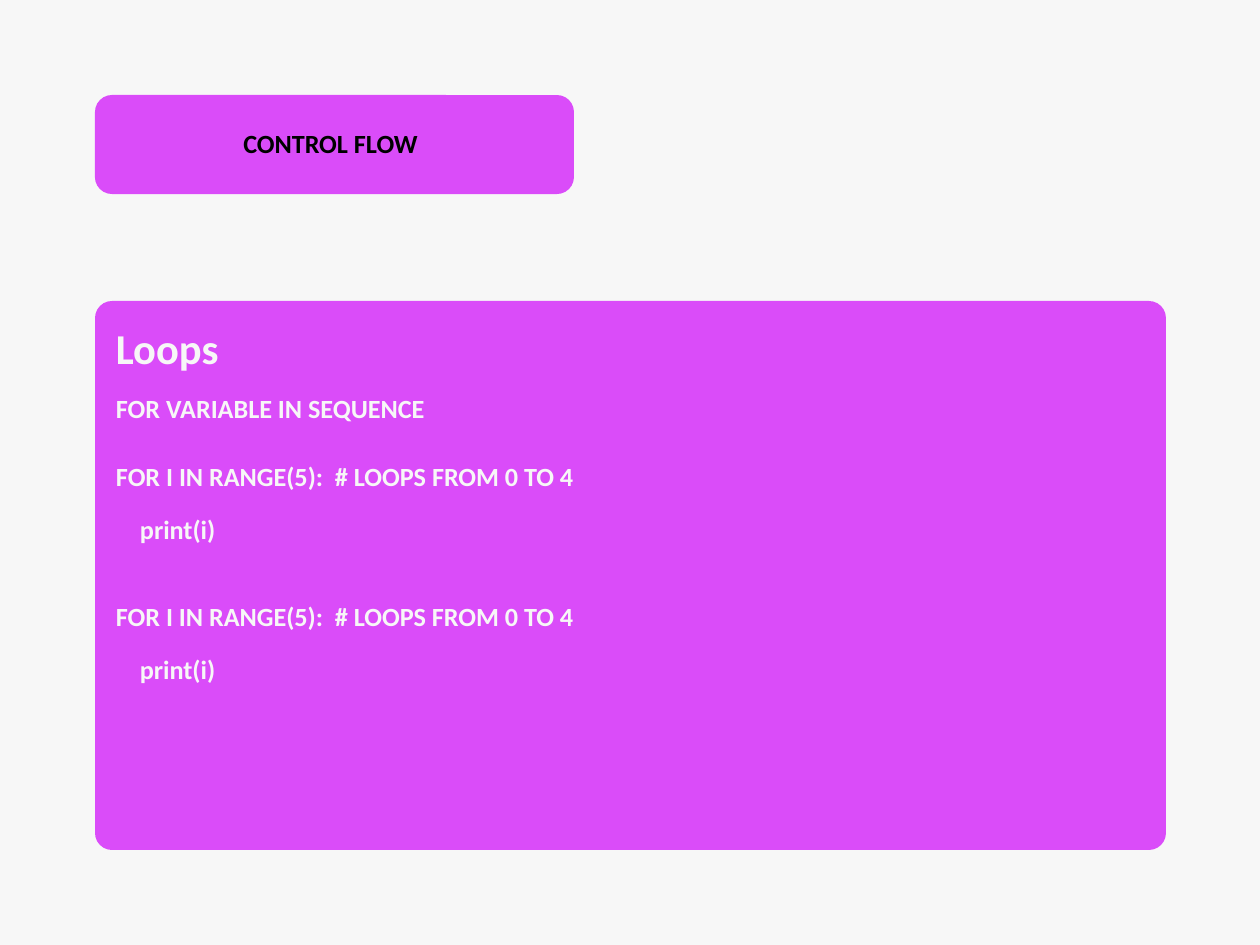
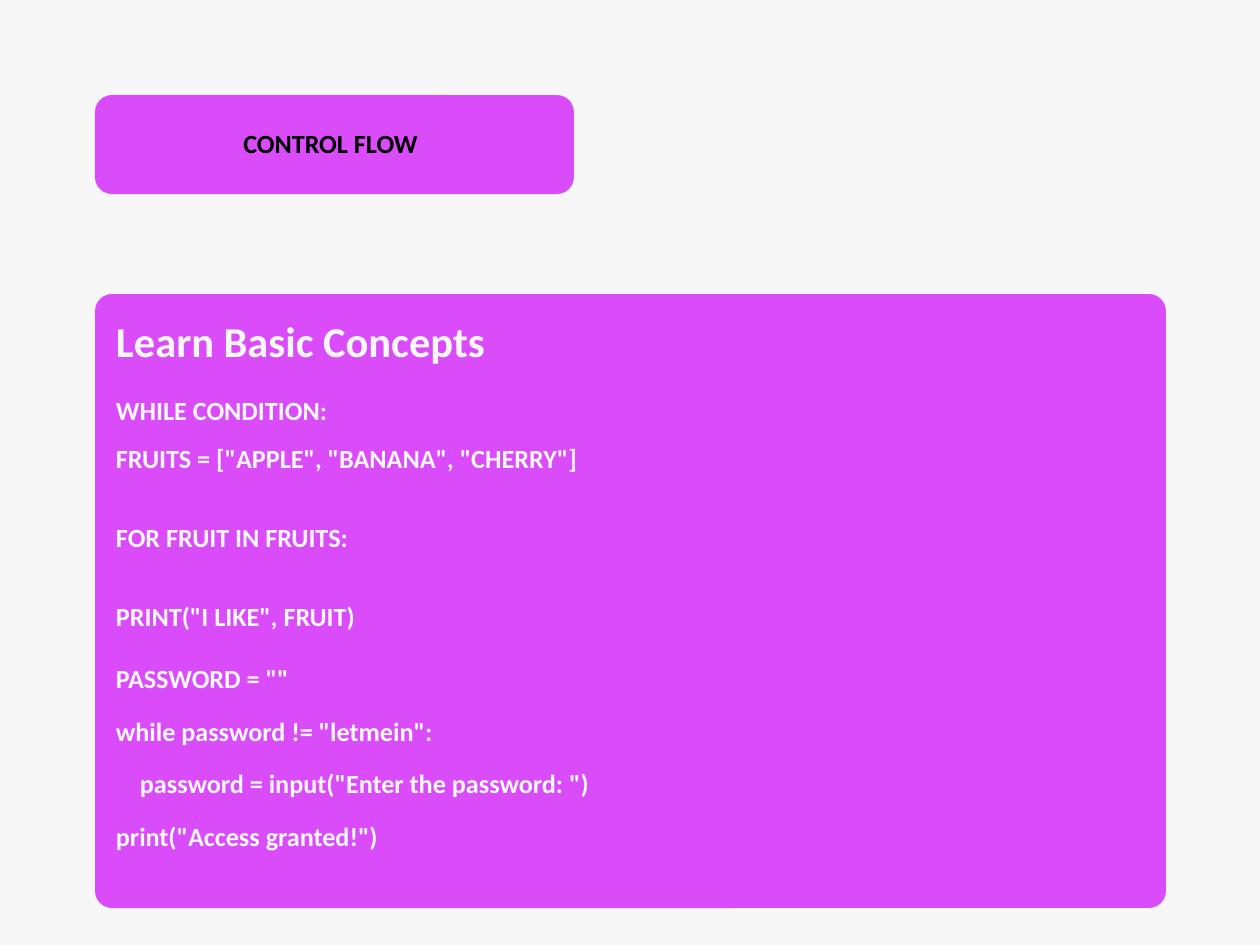
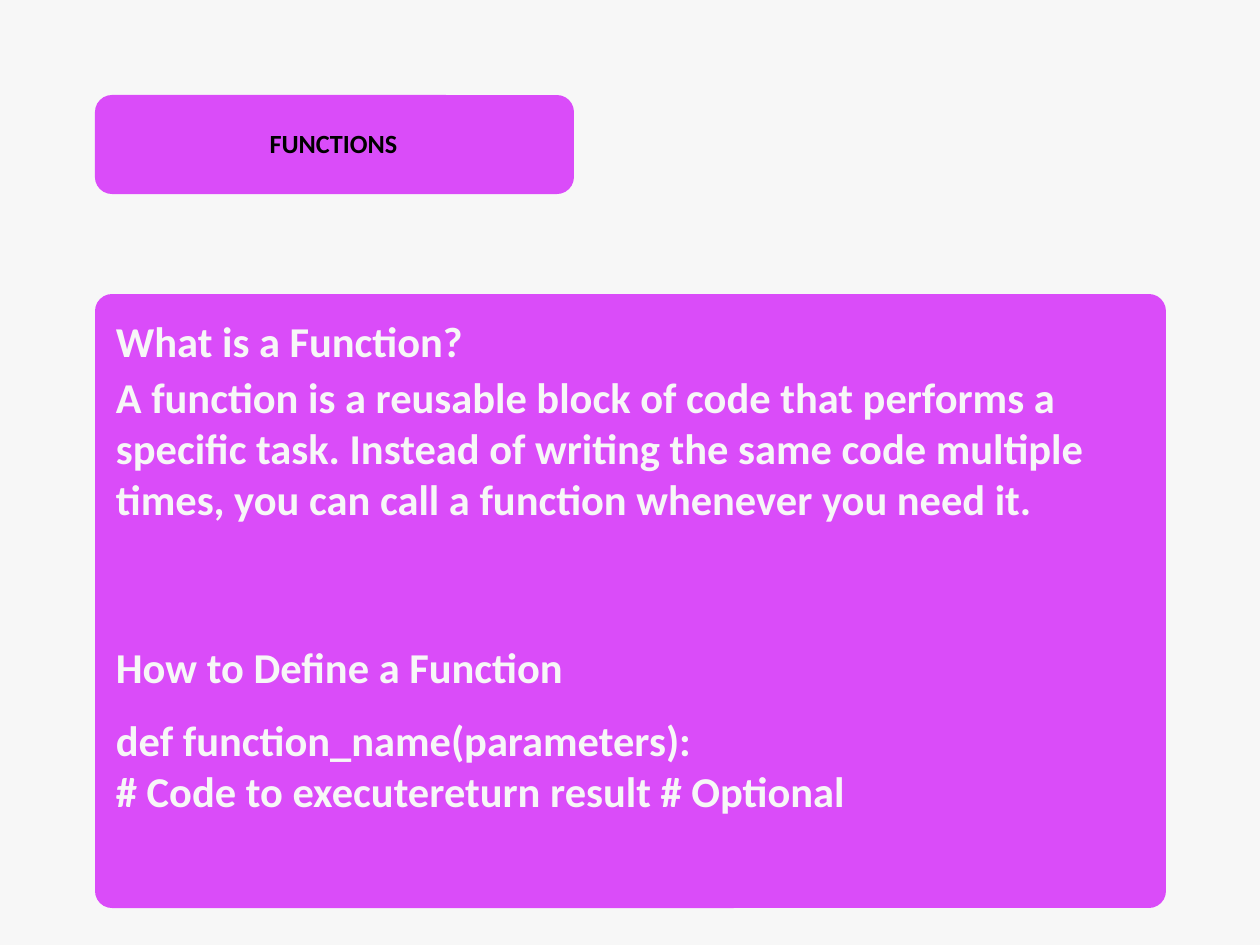
import dataclasses
import typing

import pptx
import pptx.dml.color
import pptx.enum.shapes
import pptx.enum.text
import pptx.oxml.ns
import pptx.util

EMU_PER_PX = 7741


class Box(typing.NamedTuple):
    left: int
    top: int
    width: int
    height: int

    def inside(self, left, top, width, height):
        return Box(self.left + left, self.top + top, width, height)


class Line(typing.NamedTuple):
    text: str
    gap: int = 0
    indent: int = 0


class Block(typing.NamedTuple):
    top: int
    height: int
    lines: list
    style: str = "code"


@dataclasses.dataclass(frozen=True)
class Theme:
    font: str = "Calibri"
    paper: str = "F7F7F7"
    accent: str = "DA4CF9"
    ink: str = "000000"
    code_size: float = 16
    code_leading: float = 16
    large_size: float = 25.9
    large_leading: float = 31.1
    radius: int = 17

    def measures(self, style):
        if style == "large":
            return self.large_size, self.large_leading
        return self.code_size, self.code_leading


THEME = Theme()
PAGE = Box(0, 0, 1260, 945)
TITLE_BAND = Box(95, 95, 479, 99)
SHORT_PANEL = Box(95, 301, 1071, 549)
TALL_PANEL = Box(95, 294, 1071, 614)
TEXT_INSET = 21
CODE_INDENT = 24

RANGE_LOOP = [
    Line("FOR I IN RANGE(5):  # LOOPS FROM 0 TO 4"),
    Line("print(i)", 16, CODE_INDENT),
]

SLIDES = [
    ("CONTROL FLOW ", SHORT_PANEL, "Loops", [
        Block(165, 104, RANGE_LOOP),
        Block(305, 104, RANGE_LOOP),
        Block(97, 26, [Line("FOR VARIABLE IN SEQUENCE")]),
    ]),
    ("CONTROL FLOW ", TALL_PANEL, "Learn Basic Concepts", [
        Block(154, 259, [
            Line('FRUITS = ["APPLE", "BANANA", "CHERRY"]'),
            Line("FOR FRUIT IN FRUITS:", 32),
            Line('PRINT("I LIKE", FRUIT)', 32),
        ]),
        Block(106, 26, [Line("WHILE CONDITION:")]),
        Block(374, 207, [
            Line('PASSWORD = ""'),
            Line('while password != "letmein":', 16),
            Line('password = input("Enter the password: ")', 16, CODE_INDENT),
            Line('print("Access granted!")', 16),
        ]),
    ]),
    ("FUNCTIONS", TALL_PANEL, "What is a Function?", [
        Block(77, 203, [Line(
            "A function is a reusable block of code that performs a specific task. "
            "Instead of writing the same code multiple times, you can call a "
            "function whenever you need it."
        )], "large"),
        Block(347, 51, [Line("How to Define a Function")], "large"),
        Block(420, 102, [
            Line("def function_name(parameters):"),
            Line("# Code to executereturn result # Optional"),
        ], "large"),
    ]),
]


def px(length):
    return pptx.util.Emu(length * EMU_PER_PX)


def rgb(value):
    return pptx.dml.color.RGBColor.from_string(value)


def set_all(target, values):
    for name, value in values.items():
        setattr(target, name, value)


def place(shape, box):
    set_all(shape, {name: px(length) for name, length in box._asdict().items()})


def add_band(page, box):
    band = page.shapes.add_shape(
        pptx.enum.shapes.MSO_SHAPE.ROUNDED_RECTANGLE, *map(px, box)
    )
    band.adjustments[0] = THEME.radius / min(box.width, box.height)
    band.shadow.inherit = False
    band.fill.solid()
    band.fill.fore_color.rgb = rgb(THEME.accent)
    band.line.fill.background()


def write_lines(shape, lines, style, color, align):
    frame = shape.text_frame
    set_all(frame, {
        "word_wrap": True,
        "auto_size": pptx.enum.text.MSO_AUTO_SIZE.NONE,
        "vertical_anchor": pptx.enum.text.MSO_ANCHOR.TOP,
        "margin_left": 0,
        "margin_top": 0,
        "margin_right": 0,
        "margin_bottom": 0,
    })
    size, leading = THEME.measures(style)
    for number, line in enumerate(lines):
        para = frame.add_paragraph() if number else frame.paragraphs[0]
        set_all(para, {
            "alignment": align,
            "line_spacing": pptx.util.Pt(leading),
            "space_before": pptx.util.Pt(line.gap),
            "space_after": pptx.util.Pt(0),
        })
        properties = para._p.get_or_add_pPr()
        properties.set("marL", str(px(line.indent)))
        properties.set("indent", "0")
        properties.append(pptx.oxml.ns.qn and pptx.oxml.parse_xml(
            f"<a:buNone {pptx.oxml.ns.nsdecls('a')}/>"
        ))
        span = para.add_run()
        span.text = line.text
        set_all(span.font, {
            "name": THEME.font,
            "size": pptx.util.Pt(size),
            "bold": True,
        })
        span.font.color.rgb = rgb(color)


def raise_to_front(shape):
    shape.element.getparent().append(shape.element)


def add_title(page, box, text):
    add_band(page, box)
    title = page.shapes.title
    raise_to_front(title)
    place(title, box.inside(82, 38, 313, 26))
    write_lines(title, [Line(text)], "code", THEME.ink,
                pptx.enum.text.PP_ALIGN.CENTER)


def add_panel(page, box, heading, blocks):
    add_band(page, box)
    body = page.placeholders[1]
    raise_to_front(body)
    heading_block = Block(TEXT_INSET, 51, [Line(heading)], "large")
    for block in [heading_block, *blocks]:
        area = box.inside(TEXT_INSET, block.top,
                          box.width - 2 * TEXT_INSET, block.height)
        if block is blocks[0]:
            shape = body
            place(shape, area)
        else:
            shape = page.shapes.add_textbox(*map(px, area))
        write_lines(shape, block.lines, block.style, THEME.paper,
                    pptx.enum.text.PP_ALIGN.LEFT)


def main():
    deck = pptx.Presentation()
    set_all(deck, {"slide_width": px(PAGE.width), "slide_height": px(PAGE.height)})
    background = deck.slide_master.background.fill
    background.solid()
    background.fore_color.rgb = rgb(THEME.paper)
    for title, panel, heading, blocks in SLIDES:
        page = deck.slides.add_slide(deck.slide_layouts[1])
        add_title(page, TITLE_BAND, title)
        add_panel(page, panel, heading, blocks)
    deck.save("out.pptx")


if __name__ == "__main__":
    main()
